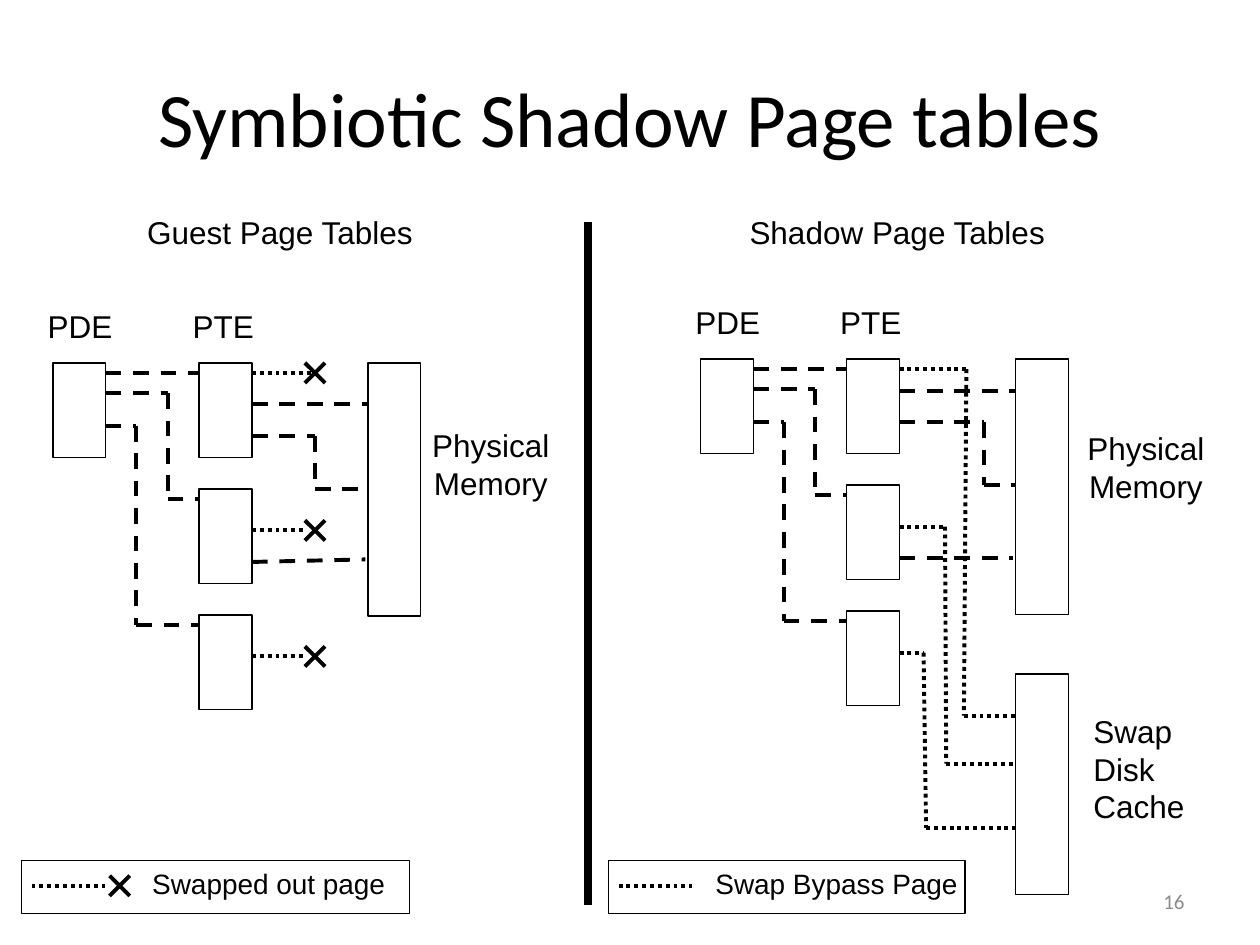
import dataclasses

import pptx
import pptx.dml.color
import pptx.enum.dml
import pptx.enum.shapes
import pptx.enum.text
import pptx.oxml.ns
import pptx.util
from lxml import etree

PX = 9144  # 100 px to the inch
DASH = pptx.enum.dml.MSO_LINE.DASH
DOT = pptx.enum.dml.MSO_LINE.ROUND_DOT
ALIGN = pptx.enum.text.PP_ALIGN


@dataclasses.dataclass(frozen=True)
class Theme:
    ink: str = "000000"
    paper: str = "FFFFFF"
    muted: str = "8C8C8C"
    heading_font: str = "Calibri"
    label_font: str = "Arial"
    title: int = 44
    label: int = 18
    legend: int = 16
    number: int = 12
    divider: float = 4.5
    wire: float = 2.25
    outline: float = 0.75


THEME = Theme()
TABLE_WIDTH, TABLE_HEIGHT, TABLE_PITCH = 42, 75, 100
PTE_LEFT, MEMORY_LEFT = 116, 250
CROSS_REACH = 8

# Wire corners are relative to the top left of the PDE table.
PDE_WIRES = [
    [(42, 24), (91, 24), (91, 108), (116, 108)],
    [(42, 8), (116, 8)],
    [(42, 50), (66, 50), (66, 208), (116, 208)],
]
GUEST_WIRES = [
    [(158, 158), (248, 156)],
    [(158, 58), (208, 58), (208, 100), (255, 100)],
    [(158, 33), (250, 33)],
]
SWAPPED_WIRES = [
    [(158, 8), (208, 8)],
    [(158, 133), (200, 133)],
    [(158, 233), (200, 233)],
]
SHADOW_WIRES = [
    [(158, 158), (248, 158)],
    [(158, 50), (225, 50), (225, 100), (250, 100)],
    [(158, 25), (250, 25)],
]
BYPASS_WIRES = [
    [(158, 8), (211, 8), (209, 283), (250, 283)],
    [(158, 133), (194, 133), (195, 321), (250, 321)],
    [(158, 233), (177, 233), (179, 372), (252, 372)],
]


def emu(*lengths):
    return [pptx.util.Emu(length * PX) for length in lengths]


def color(value):
    return pptx.dml.color.RGBColor.from_string(value)


def add_text(page, area, lines, size, font=THEME.label_font, ink=THEME.ink,
             align=ALIGN.LEFT, wrap=False):
    """Wrapped text is centred vertically; other text sits at the top of its area."""
    box = page.shapes.add_textbox(*emu(*area))
    frame = box.text_frame
    frame.word_wrap = wrap
    if wrap:
        frame.vertical_anchor = pptx.enum.text.MSO_ANCHOR.MIDDLE
    else:
        frame.auto_size = pptx.enum.text.MSO_AUTO_SIZE.SHAPE_TO_FIT_TEXT
    for index, line in enumerate(lines):
        para = frame.add_paragraph() if index else frame.paragraphs[0]
        para.alignment = align
        span = para.add_run()
        span.text = line
        span.font.size = pptx.util.Pt(size)
        span.font.name = font
        span.font.color.rgb = color(ink)


def add_box(page, area, filled=True):
    box = page.shapes.add_shape(pptx.enum.shapes.MSO_SHAPE.RECTANGLE, *emu(*area))
    box.shadow.inherit = False
    if filled:
        box.fill.solid()
        box.fill.fore_color.rgb = color(THEME.paper)
    else:
        box.fill.background()
    box.line.color.rgb = color(THEME.ink)
    box.line.width = pptx.util.Pt(THEME.outline)


def add_wire(page, origin, corners, dash=None, width=THEME.wire):
    """Join the corners with one straight line for each pair of neighbours."""
    left, top = origin
    for (x1, y1), (x2, y2) in zip(corners, corners[1:]):
        wire = page.shapes.add_connector(
            pptx.enum.shapes.MSO_CONNECTOR.STRAIGHT,
            *emu(left + x1, top + y1, left + x2, top + y2))
        wire.line.color.rgb = color(THEME.ink)
        wire.line.width = pptx.util.Pt(width)
        if dash is not None:
            wire.line.dash_style = dash
        properties = wire._element.spPr
        etree.SubElement(properties, pptx.oxml.ns.qn("a:effectLst"))


def add_cross(page, origin, center):
    x, y = center
    for rise in (CROSS_REACH, -CROSS_REACH):
        add_wire(page, origin, [(x - CROSS_REACH, y - rise), (x + CROSS_REACH, y + rise)])


def add_tables(page, origin, wires, memory_height, memory_label):
    """The parts that both halves share: PDE, three PTEs and physical memory."""
    left, top = origin
    add_text(page, (left - 14, top - 49, 72, 40), ["PDE"], THEME.label)
    add_text(page, (left + 101, top - 49, 69, 40), ["PTE"], THEME.label)
    label_left, label_top = memory_label
    add_text(page, (left + label_left, top + label_top, 113, 70),
             ["Physical", "Memory"], THEME.label, align=ALIGN.CENTER)
    for corners in PDE_WIRES + wires:
        add_wire(page, origin, corners, DASH)
    add_box(page, (left + MEMORY_LEFT, top, TABLE_WIDTH, memory_height))
    add_box(page, (left, top, TABLE_WIDTH, TABLE_HEIGHT))
    for row in range(3):
        add_box(page, (left + PTE_LEFT, top + row * TABLE_PITCH, TABLE_WIDTH, TABLE_HEIGHT))


def add_guest_half(page, origin):
    for corners in SWAPPED_WIRES:
        add_wire(page, origin, corners, DOT)
        add_cross(page, origin, (208, corners[-1][1]))
    add_tables(page, origin, GUEST_WIRES, 201, (291, 45))


def add_shadow_half(page, origin):
    left, top = origin
    for corners in BYPASS_WIRES:
        add_wire(page, origin, corners, DOT)
    add_tables(page, origin, SHADOW_WIRES, 203, (297, 51))
    add_box(page, (left + MEMORY_LEFT, top + 250, TABLE_WIDTH, 175))
    add_text(page, (left + 302, top + 275, 92, 100), ["Swap", "Disk", "Cache"], THEME.label)


def add_legend(page, area, text, text_left, text_width, crossed=False):
    left, top, _, _ = area
    add_box(page, area, filled=False)
    add_wire(page, (left, top), [(8, 20), (66, 20)], DOT)
    if crossed:
        add_cross(page, (left, top), (78, 20))
    add_text(page, (left + text_left, top, text_width, 37), [text], THEME.legend)


def main():
    deck = pptx.Presentation()
    deck.slide_width, deck.slide_height = emu(1000, 750)
    page = deck.slides.add_slide(deck.slide_layouts[6])
    add_text(page, (50, 30, 900, 125), ["Symbiotic Shadow Page tables"], THEME.title,
             THEME.heading_font, align=ALIGN.CENTER, wrap=True)
    add_text(page, (717, 695, 233, 40), ["16"], THEME.number,
             THEME.heading_font, THEME.muted, ALIGN.RIGHT, wrap=True)
    add_wire(page, (467, 176), [(0, 0), (0, 542)], width=THEME.divider)
    add_text(page, (107, 164, 244, 40), ["Guest Page Tables"], THEME.label)
    add_text(page, (585, 164, 269, 40), ["Shadow Page Tables"], THEME.label)
    add_guest_half(page, (42, 288))
    add_shadow_half(page, (556, 285))
    add_legend(page, (17, 683, 308, 42), "Swapped out page", 94, 205, crossed=True)
    add_legend(page, (483, 683, 283, 42), "Swap Bypass Page", 75, 212)
    deck.save("out.pptx")


if __name__ == "__main__":
    main()
